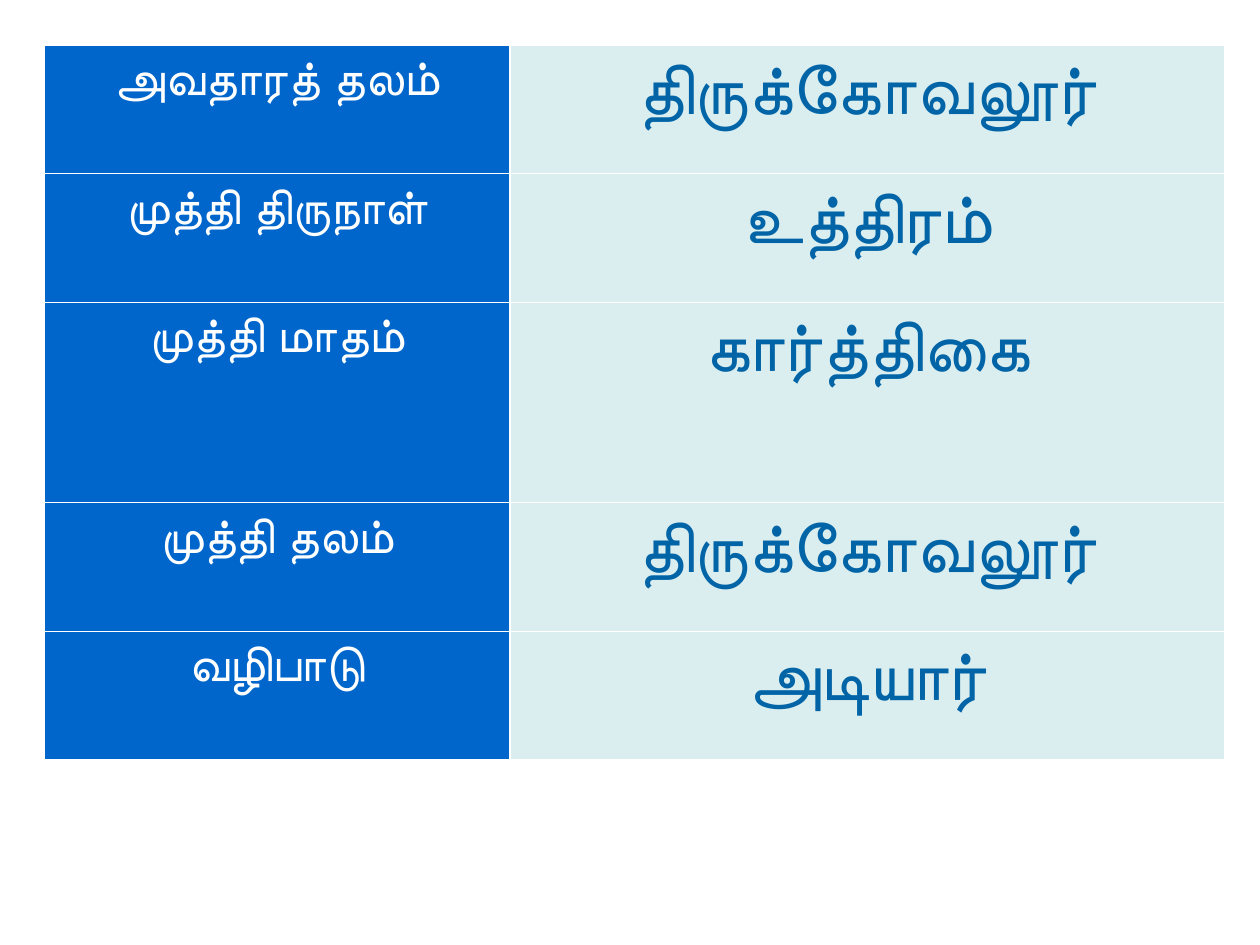
from lxml.etree import SubElement as Sub
from pptx import Presentation
from pptx.dml.color import RGBColor as Rgb
from pptx.enum.text import PP_ALIGN as Align
from pptx.oxml.ns import qn
from pptx.util import Inches, Pt

COLORS = {"label": "0066CC", "value": "DAEDEF", "ink": "0064A6", "white": "FFFFFF"}
FONT = "Arial"
THIN, THICK = 0.45, 1.47
WIDTHS = [3.7, 5.67]
HEIGHTS = [1.02, 1.02, 1.59, 1.02, 1.02]
FACTS = [
    ("அவதாரத் தலம்", "திருக்கோவலூர்"),
    ("முத்தி திருநாள்", "உத்திரம்"),
    ("முத்தி மாதம்", "கார்த்திகை"),
    ("முத்தி தலம்", "திருக்கோவலூர்"),
    ("வழிபாடு", "அடியார்"),
]
STYLES = [
    {"size": 28, "color": "white", "bold": True},
    {"size": 40, "color": "ink", "bold": False},
]


def write(frame, text, size, color, bold):
    para = frame.paragraphs[0]
    para.alignment = Align.CENTER
    run = para.add_run()
    run.text = text
    font = run.font
    font.name = FONT
    font.size = Pt(size)
    font.bold = bold
    font.color.rgb = Rgb.from_string(COLORS[color])
    Sub(font._element, qn("a:cs"), typeface=FONT)


def edge(cell, **sides):
    props = cell._tc.get_or_add_tcPr()
    for side, width in sides.items():
        line = Sub(props, qn(f"a:ln{side}"), w=str(Pt(width)))
        fill = Sub(line, qn("a:solidFill"))
        Sub(fill, qn("a:srgbClr"), val=COLORS["white"])


def borders(row, col):
    sides = {"L": THICK} if col else {}
    sides["R"] = THIN if col else THICK
    sides["T"] = THIN if row else THICK
    if row < len(FACTS) - 1:
        sides["B"] = THIN
    return sides


def grid(slide, left, top, width, height):
    frame = slide.shapes.add_table(len(FACTS), len(WIDTHS), Inches(left),
                                   Inches(top), Inches(width), Inches(height))
    table = frame.table
    table.first_row = table.horz_banding = False
    for col, part in zip(table.columns, WIDTHS):
        col.width = Inches(width * part / sum(WIDTHS))
    for row, part in zip(table.rows, HEIGHTS):
        row.height = Inches(height * part / sum(HEIGHTS))
    for r, fact in enumerate(FACTS):
        for c, text in enumerate(fact):
            cell = table.cell(r, c)
            cell.margin_left = cell.margin_right = Inches(0.12)
            cell.margin_top = cell.margin_bottom = Inches(0.05)
            edge(cell, **borders(r, c))
            cell.fill.solid()
            cell.fill.fore_color.rgb = Rgb.from_string(COLORS["value" if c else "label"])
            write(cell.text_frame, text, **STYLES[c])


def main():
    deck = Presentation()
    deck.slide_width, deck.slide_height = Inches(10), Inches(7.5)
    slide = deck.slides.add_slide(deck.slide_layouts[6])
    grid(slide, 0.35, 0.36, sum(WIDTHS), sum(HEIGHTS))
    deck.save("out.pptx")


if __name__ == "__main__":
    main()
